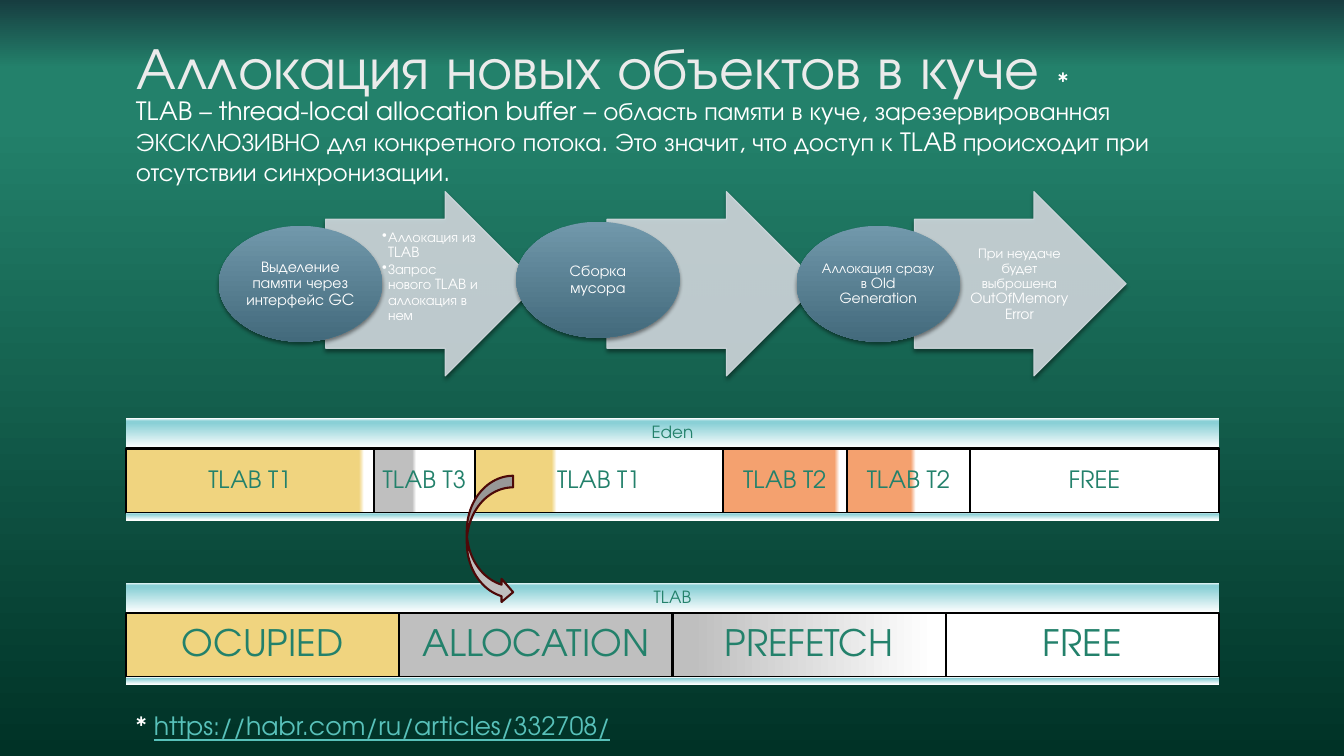
"""Build a slide on how new heap objects are allocated through TLABs."""
from dataclasses import dataclass
from itertools import accumulate

from pptx import Presentation, util as u
from pptx.dml import color as dml
from pptx.enum import shapes as kinds, text as txt
from pptx.oxml import ns, xmlchemy

EMU_PER_PX = 9144
Stops = tuple[tuple[int, str], ...]


@dataclass(frozen=True)
class Theme:
    font: str = "TeX Gyre Adventor"
    white: str = "FFFFFF"
    heading: str = "EBEBEB"
    green: str = "23816B"
    black: str = "000000"
    gold: str = "F0D47F"
    gray: str = "BFBFBF"
    orange: str = "F4A16F"
    pale: str = "D1D9DE"
    maroon: str = "4D0908"
    link: str = "58C1BA"
    backdrop: Stops = ((0, "173D40"), (9, "23816B"), (16, "23816B"), (100, "003226"))
    bar: Stops = ((0, "FFFFFF"), (9, "8AD0D6"), (16, "8AD0D6"), (100, "FFFFFF"))
    step: Stops = ((0, "7198AB"), (100, "436A7C"))
    title_size: int = 42
    body_size: int = 18
    caption_size: int = 12
    eden_size: int = 17
    tlab_size: int = 26
    step_size: int = 11
    note_size: int = 10


@dataclass(frozen=True)
class Box:
    left: int
    top: int
    width: int
    height: int

    def emu(self) -> tuple[int, ...]:
        return tuple(px(n) for n in (self.left, self.top, self.width, self.height))


@dataclass(frozen=True)
class Cell:
    label: str
    width: int
    stops: Stops


@dataclass(frozen=True)
class Strip:
    caption: str
    top: int
    size: int
    inset: int
    cells: tuple[Cell, ...]


@dataclass(frozen=True)
class Step:
    label: str
    size: int
    ellipse_left: int
    ellipse_top: int
    arrow_left: int
    notes: tuple[str, ...] = ()
    note_box: Box | None = None


THEME = Theme()
MARGIN = 125


def partly(color: str, start: int, end: int) -> Stops:
    return (start, color), (end, THEME.white)


STRIPS = (
    Strip("Eden", 415, THEME.eden_size, 7, (
        Cell("TLAB T1", 246, partly(THEME.gold, 94, 96)),
        Cell("TLAB T3", 100, partly(THEME.gray, 38, 42)),
        Cell("TLAB T1", 246, partly(THEME.gold, 31, 33)),
        Cell("TLAB T2", 123, partly(THEME.orange, 90, 94)),
        Cell("TLAB T2", 122, partly(THEME.orange, 52, 56)),
        Cell("FREE", 247, ((0, THEME.white),)),
    )),
    Strip("TLAB", 578, THEME.tlab_size, 11, (
        Cell("OCUPIED", 271, ((0, THEME.gold),)),
        Cell("ALLOCATION", 271, ((0, THEME.gray),)),
        Cell("PREFETCH", 271, partly(THEME.gray, 7, 96)),
        Cell("FREE", 271, ((0, THEME.white),)),
    )),
)

STEPS = (
    Step("Выделение памяти через интерфейс GC", THEME.step_size, 217, 224, 323,
         ("Аллокация из TLAB", "Запрос нового TLAB и аллокация в нем"), Box(376, 217, 102, 115)),
    Step("Сборка мусора", THEME.step_size, 512, 220, 602),
    Step("Аллокация сразу в Old Generation", THEME.note_size, 790, 224, 907,
         ("При неудаче будет выброшена OutOfMemoryError",), Box(959, 218, 102, 128)),
)


def px(length: int) -> int:
    return length * EMU_PER_PX


def rgb(value: str) -> dml.RGBColor:
    return dml.RGBColor.from_string(value)


def add_node(parent, tag: str, **attributes):
    node = parent.makeelement(ns.qn(tag), {key: str(value) for key, value in attributes.items()})
    parent.append(node)
    return node


def paint(fill, element: xmlchemy.BaseOxmlElement, stops: Stops, angle: int = 0) -> None:
    if len(stops) == 1:
        fill.solid()
        fill.fore_color.rgb = rgb(stops[0][1])
        return
    fill.gradient()
    fill.gradient_angle = (360 - angle) % 360
    stop_list = next(element.iter(ns.qn("a:gsLst")))
    for old in list(stop_list):
        stop_list.remove(old)
    for position, color in stops:
        add_node(add_node(stop_list, "a:gs", pos=position * 1000), "a:srgbClr", val=color)


def add_figure(page, kind, box: Box, stops: Stops, angle: int = 0,
               line: str | None = None, weight: float = 1.5):
    figure = page.shapes.add_shape(kind, *box.emu())
    figure.shadow.inherit = False
    paint(figure.fill, figure.element, stops, angle)
    if line:
        figure.line.color.rgb = rgb(line)
        figure.line.width = u.Pt(weight)
    else:
        figure.line.fill.background()
    return figure


def style(font, size: int, color: str) -> None:
    font.name, font.size, font.color.rgb = THEME.font, u.Pt(size), rgb(color)


def set_insets(frame, left: int, others: int) -> None:
    frame.word_wrap = True
    frame.vertical_anchor = txt.MSO_ANCHOR.MIDDLE
    frame.margin_left = px(left)
    frame.margin_top = frame.margin_right = frame.margin_bottom = px(others)


def write_label(frame, label: str, size: int, color: str, inset: int) -> None:
    set_insets(frame, inset, inset)
    para = frame.paragraphs[0]
    para.text = label
    para.alignment = txt.PP_ALIGN.CENTER
    para.line_spacing = 0.9
    style(para.font, size, color)


def add_text(page, box: Box, *spans: str):
    frame = page.shapes.add_textbox(*box.emu()).text_frame
    frame.word_wrap = True
    para = frame.paragraphs[0]
    for words in spans:
        para.add_run().text = words
    style(para.font, THEME.body_size, THEME.white)
    return para


def add_strip(page, strip: Strip) -> None:
    widths = [cell.width for cell in strip.cells]
    lefts = accumulate(widths[:-1], initial=MARGIN)
    rect = kinds.MSO_SHAPE.RECTANGLE
    header = add_figure(page, rect, Box(MARGIN, strip.top, sum(widths), 30), THEME.bar, 90)
    write_label(header.text_frame, strip.caption, THEME.caption_size, THEME.green, 5)
    for left, cell in zip(lefts, strip.cells):
        box = Box(left, strip.top + 30, cell.width, 64)
        figure = add_figure(page, rect, box, cell.stops, line=THEME.black)
        write_label(figure.text_frame, cell.label, strip.size, THEME.green, strip.inset)
    add_figure(page, rect, Box(MARGIN, strip.top + 94, sum(widths), 7), THEME.bar, 90)


def add_shadow(figure) -> None:
    effects = figure.element.spPr.find(ns.qn("a:effectLst"))
    shadow = add_node(effects, "a:outerShdw", blurRad=u.Pt(3), dist=u.Pt(2),
                      dir=5400000, rotWithShape=0)
    add_node(add_node(shadow, "a:srgbClr", val=THEME.black), "a:alpha", val=45000)


def add_notes(page, step: Step) -> None:
    frame = page.shapes.add_textbox(*step.note_box.emu()).text_frame
    if len(step.notes) == 1:
        write_label(frame, step.notes[0], THEME.note_size, THEME.white, 1)
        frame.margin_left = px(3)
        return
    set_insets(frame, 3, 1)
    for index, note in enumerate(step.notes):
        para = frame.add_paragraph() if index else frame.paragraphs[0]
        para.text = note
        properties = para._p.get_or_add_pPr()
        properties.set("marL", str(px(6)))
        properties.set("indent", str(-px(6)))
        add_node(properties, "a:buChar", char="•")
        para.line_spacing = 0.9
        para.space_after = u.Pt(1.5)
        style(para.font, THEME.note_size, THEME.white)


def add_step(page, step: Step) -> None:
    arrow = add_figure(page, kinds.MSO_SHAPE.RIGHT_ARROW, Box(step.arrow_left, 190, 210, 183),
                       ((0, THEME.pale),), line=THEME.pale, weight=0.75)
    arrow.adjustments[0] = 0.7
    for color in arrow.element.spPr.iter(ns.qn("a:srgbClr")):
        add_node(color, "a:alpha", val=90000)
    add_shadow(arrow)
    if step.notes:
        add_notes(page, step)
    ellipse = add_figure(page, kinds.MSO_SHAPE.OVAL,
                         Box(step.ellipse_left, step.ellipse_top, 162, 115), THEME.step, 90)
    add_shadow(ellipse)
    write_label(ellipse.text_frame, step.label, step.size, THEME.white, 1)


def add_title(page, words: str) -> None:
    title = page.shapes.title
    title.left, title.top, title.width, title.height = Box(MARGIN, 25, 1029, 153).emu()
    frame = title.text_frame
    frame.auto_size = txt.MSO_AUTO_SIZE.NONE
    frame.vertical_anchor = txt.MSO_ANCHOR.TOP
    para = frame.paragraphs[0]
    para.text = words
    para.alignment = txt.PP_ALIGN.LEFT
    style(para.font, THEME.title_size, THEME.heading)


def main() -> None:
    deck = Presentation()
    deck.slide_width, deck.slide_height = px(1333), px(750)
    page = deck.slides.add_slide(deck.slide_layouts[5])
    paint(page.background.fill, page.element, THEME.backdrop, 90)
    add_title(page, "Аллокация новых объектов в куче")
    for strip in STRIPS:
        add_strip(page, strip)
    add_figure(page, kinds.MSO_SHAPE.CURVED_RIGHT_ARROW, Box(463, 472, 46, 127),
               ((0, THEME.gray),), line=THEME.maroon)
    for step in STEPS:
        add_step(page, step)
    add_text(page, Box(1039, 61, 35, 40), "*")
    source = add_text(page, Box(MARGIN, 700, 898, 40), "* ", "https://habr.com/ru/articles/332708/")
    address = source.runs[1].font
    address.color.rgb = rgb(THEME.link)
    address.underline = True
    add_text(page, Box(MARGIN, 90, 1095, 101),
             "TLAB – thread-local allocation buffer – область памяти в куче, зарезервированная "
             "ЭКСКЛЮЗИВНО для конкретного потока. Это значит, что доступ к TLAB происходит при "
             "отсутствии синхронизации.")
    deck.save("out.pptx")


if __name__ == "__main__":
    main()
